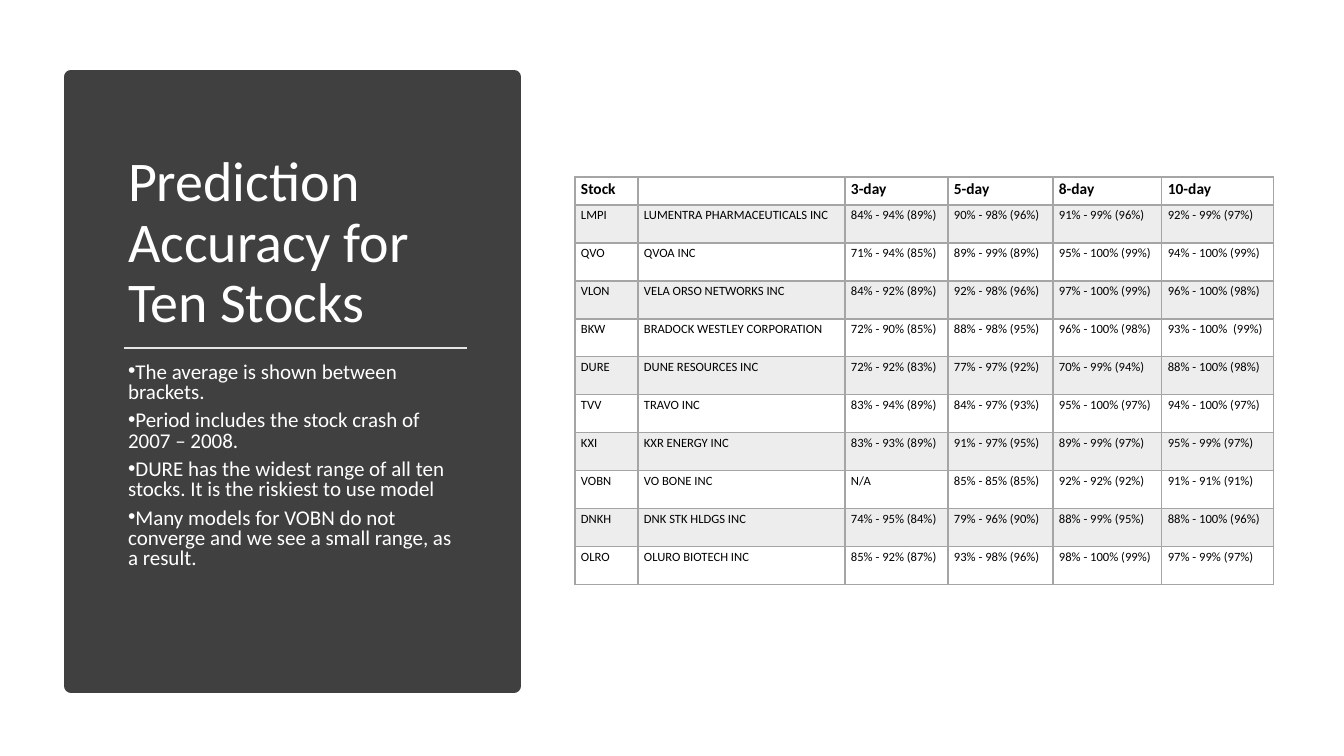
from dataclasses import dataclass

from lxml.etree import SubElement
from pptx import Presentation
from pptx.dml.color import RGBColor
from pptx.enum.shapes import MSO_CONNECTOR, MSO_SHAPE
from pptx.enum.text import MSO_ANCHOR, MSO_AUTO_SIZE, PP_ALIGN
from pptx.oxml.ns import qn
from pptx.util import Emu, Pt


@dataclass(frozen=True)
class Theme:
    font: str = "Calibri"
    panel: RGBColor = RGBColor(0x40, 0x40, 0x40)
    panel_text: RGBColor = RGBColor(0xFF, 0xFF, 0xFF)
    rule: RGBColor = RGBColor(0xE7, 0xE6, 0xE6)
    grid: RGBColor = RGBColor(0xA5, 0xA5, 0xA5)
    band: RGBColor = RGBColor(0xED, 0xED, 0xED)
    table_text: RGBColor = RGBColor(0, 0, 0)
    title_size: int = 40
    body_size: int = 15
    header_size: int = 11
    cell_size: int = 9


THEME = Theme()
EMU_PER_INCH = 914400
PX_PER_INCH = 100.8

TITLE = "Prediction Accuracy for Ten Stocks"
REMARKS = [
    "The average is shown between brackets.",
    "Period includes the stock crash of 2007 – 2008.",
    "DURE has the widest range of all ten stocks. It is the riskiest to use model",
    "Many models for VOBN do not converge and we see a small range, as a result.",
]
HEADER = ["Stock", "", "3-day", "5-day", "8-day", "10-day"]
STOCKS = [
    ["LMPI", "LUMENTRA PHARMACEUTICALS INC",
     "84% - 94% (89%)", "90% - 98% (96%)", "91% - 99% (96%)", "92% - 99% (97%)"],
    ["QVO", "QVOA INC",
     "71% - 94% (85%)", "89% - 99% (89%)", "95% - 100% (99%)", "94% - 100% (99%)"],
    ["VLON", "VELA ORSO NETWORKS INC",
     "84% - 92% (89%)", "92% - 98% (96%)", "97% - 100% (99%)", "96% - 100% (98%)"],
    ["BKW", "BRADOCK WESTLEY CORPORATION",
     "72% - 90% (85%)", "88% - 98% (95%)", "96% - 100% (98%)", "93% - 100%  (99%)"],
    ["DURE", "DUNE RESOURCES INC",
     "72% - 92% (83%)", "77% - 97% (92%)", "70% - 99% (94%)", "88% - 100% (98%)"],
    ["TVV", "TRAVO INC",
     "83% - 94% (89%)", "84% - 97% (93%)", "95% - 100% (97%)", "94% - 100% (97%)"],
    ["KXI", "KXR ENERGY INC",
     "83% - 93% (89%)", "91% - 97% (95%)", "89% - 99% (97%)", "95% - 99% (97%)"],
    ["VOBN", "VO BONE INC",
     "N/A", "85% - 85% (85%)", "92% - 92% (92%)", "91% - 91% (91%)"],
    ["DNKH", "DNK STK HLDGS INC",
     "74% - 95% (84%)", "79% - 96% (90%)", "88% - 99% (95%)", "88% - 100% (96%)"],
    ["OLRO", "OLURO BIOTECH INC",
     "85% - 92% (87%)", "93% - 98% (96%)", "98% - 100% (99%)", "97% - 99% (97%)"],
]
COLUMN_WIDTHS = [63, 207, 103, 105, 109, 112]
HEADER_HEIGHT, ROW_HEIGHT = 28, 38


def px(length):
    return Emu(round(length * EMU_PER_INCH / PX_PER_INCH))


def place(shape, left, top, width, height):
    shape.left, shape.top = px(left), px(top)
    shape.width, shape.height = px(width), px(height)


def style_font(font, size, color, bold=False):
    font.name, font.size, font.bold = THEME.font, Pt(size), bold
    font.color.rgb = color


def style_paragraph(paragraph, size, line_spacing, space_after=0):
    style_font(paragraph.font, size, THEME.panel_text)
    paragraph.alignment = PP_ALIGN.LEFT
    paragraph.line_spacing = line_spacing
    paragraph.space_before, paragraph.space_after = Pt(0), Pt(space_after)


def add_bullet(paragraph):
    """Put the bullet flush with the wrapped lines."""
    properties = paragraph._p.get_or_add_pPr()
    properties.set("marL", "0")
    properties.set("indent", str(-EMU_PER_INCH // 4))
    bullet = properties.makeelement(qn("a:buChar"), {"char": "•"})
    properties.find(qn("a:defRPr")).addprevious(bullet)


def add_panel(slide, left, top, width, height):
    title, body = slide.shapes.title, slide.placeholders[1]

    panel = slide.shapes.add_shape(MSO_SHAPE.RECTANGLE, 0, 0, 0, 0)
    place(panel, left, top, width, height)
    panel.shadow.inherit = False
    panel.fill.solid()
    panel.fill.fore_color.rgb = panel.line.color.rgb = THEME.panel
    panel.line.width = Pt(10)
    title.element.addprevious(panel.element)

    place(title, left + 47, top + 35, 347, 228)
    title.text_frame.text = TITLE
    title.text_frame.vertical_anchor = MSO_ANCHOR.BOTTOM
    style_paragraph(title.text_frame.paragraphs[0], THEME.title_size, 0.9)

    rule_top = px(top + 271)
    rule = slide.shapes.add_connector(
        MSO_CONNECTOR.STRAIGHT, px(left + 53), rule_top, px(left + 396), rule_top)
    rule.line.color.rgb = THEME.rule
    rule.line.width = Pt(1.75)
    SubElement(rule.element.spPr, qn("a:effectLst"))

    place(body, left + 47, top + 281, 347, 246)
    body.text_frame.text = "\n".join(REMARKS)
    for paragraph in body.text_frame.paragraphs:
        style_paragraph(paragraph, THEME.body_size, 0.8, space_after=6)
        add_bullet(paragraph)

    for placeholder in (title, body):
        placeholder.text_frame.word_wrap = True
        placeholder.text_frame.auto_size = MSO_AUTO_SIZE.NONE


def add_borders(cell, top_width, bottom_width):
    properties = cell._tc.get_or_add_tcPr()
    widths = {"a:lnL": 1, "a:lnR": 1, "a:lnT": top_width, "a:lnB": bottom_width}
    for side, width in widths.items():
        line = SubElement(properties, qn(side), w=str(Pt(width)))
        fill = SubElement(line, qn("a:solidFill"))
        SubElement(fill, qn("a:srgbClr"), val=str(THEME.grid))


def fill_cell(cell, text, row):
    add_borders(cell, 2 if row == 1 else 1, 2 if row == 0 else 1)
    if row % 2:
        cell.fill.solid()
        cell.fill.fore_color.rgb = THEME.band
    else:
        cell.fill.background()
    cell.margin_left = cell.margin_right = px(6)
    cell.margin_top = cell.margin_bottom = px(3)
    cell.text = text
    size = THEME.cell_size if row else THEME.header_size
    paragraph = cell.text_frame.paragraphs[0]
    style_font(paragraph.font, size, THEME.table_text, bold=row == 0)
    if not text:
        SubElement(paragraph._p, qn("a:endParaRPr"), sz=str(size * 100))


def add_accuracy_table(slide, left, top):
    rows = [HEADER, *STOCKS]
    height = HEADER_HEIGHT + ROW_HEIGHT * len(STOCKS)
    table = slide.shapes.add_table(
        len(rows), len(HEADER), px(left), px(top),
        px(sum(COLUMN_WIDTHS)), px(height)).table
    table.first_row = table.horz_banding = False
    for column, width in zip(table.columns, COLUMN_WIDTHS):
        column.width = px(width)
    for row, texts in enumerate(rows):
        table.rows[row].height = px(ROW_HEIGHT if row else HEADER_HEIGHT)
        for column, text in enumerate(texts):
            fill_cell(table.cell(row, column), text, row)


def main():
    presentation = Presentation()
    presentation.slide_width, presentation.slide_height = px(1344), px(756)
    slide = presentation.slides.add_slide(presentation.slide_layouts[1])
    add_panel(slide, 71, 77, 443, 609)
    add_accuracy_table(slide, 575, 177)
    presentation.save("out.pptx")


if __name__ == "__main__":
    main()
